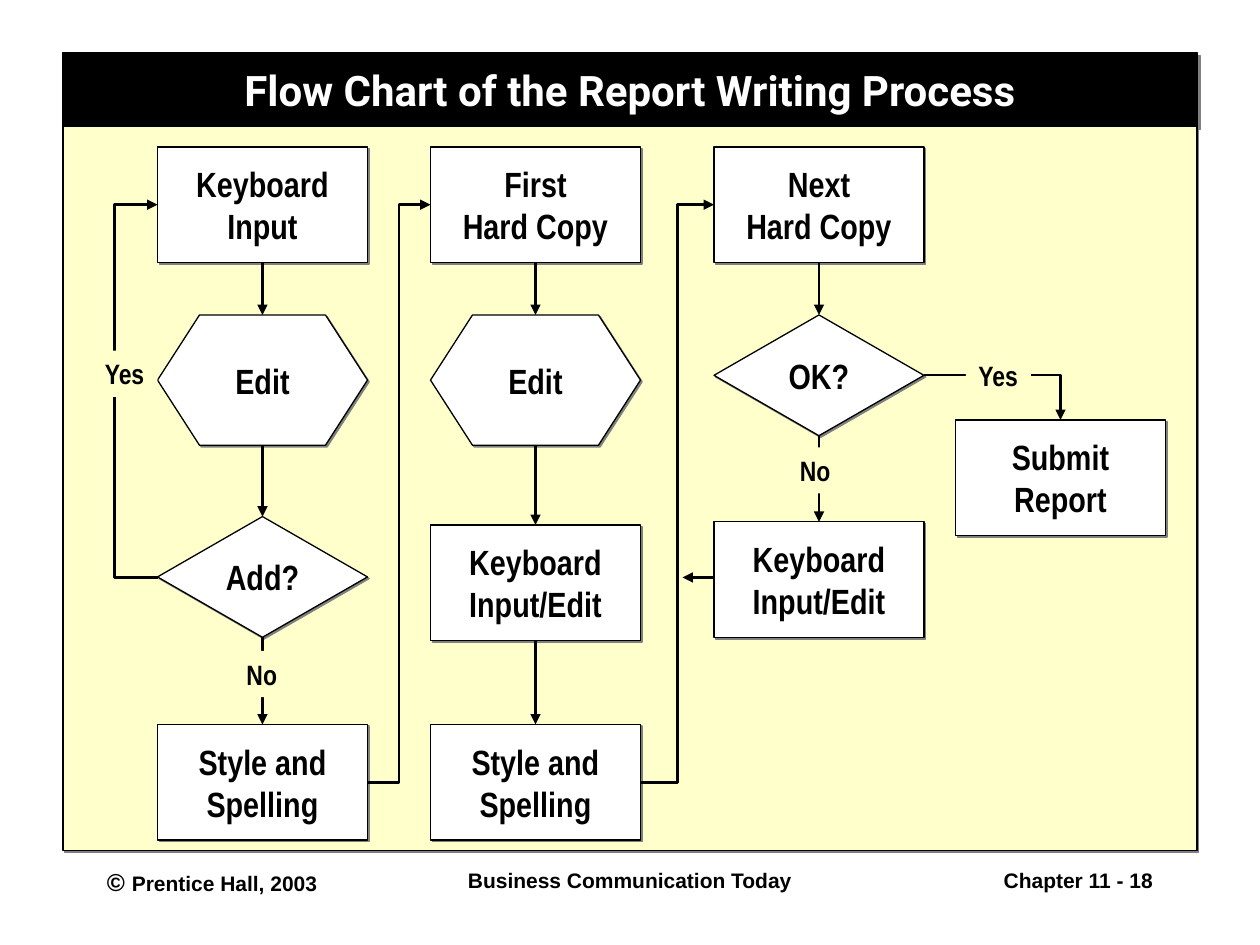
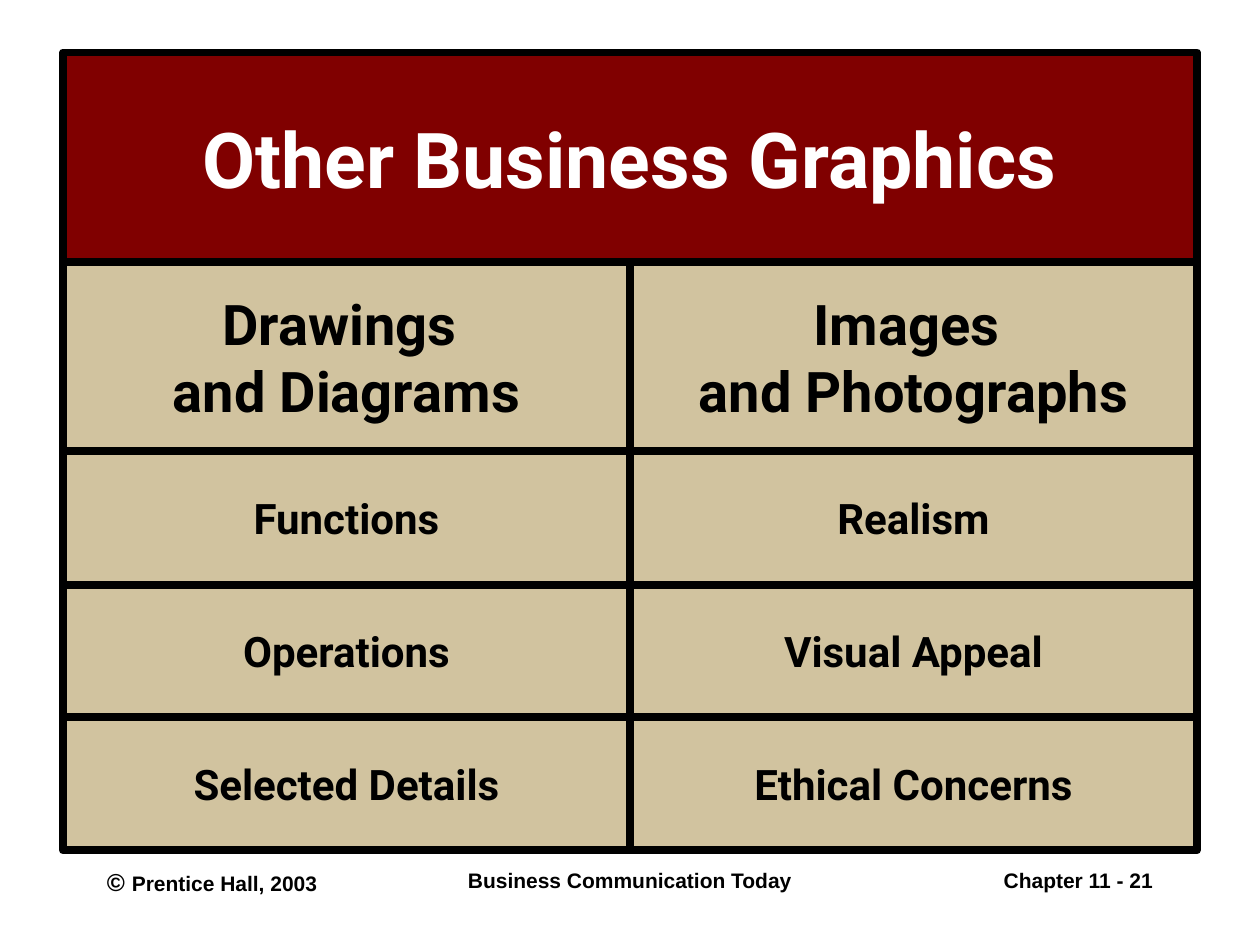
from dataclasses import dataclass
from itertools import pairwise

from lxml.etree import SubElement
from pptx import Presentation
from pptx.dml.color import RGBColor as Rgb
from pptx.enum.shapes import MSO_AUTO_SHAPE_TYPE as Preset, MSO_CONNECTOR as Route
from pptx.enum.text import MSO_ANCHOR as Anchor, MSO_AUTO_SIZE as Fit, PP_ALIGN as Align
from pptx.oxml.ns import qn
from pptx.util import Pt

PX = 7620


@dataclass(frozen=True)
class Theme:
    ink: str = "000000"
    paper: str = "FFFFFF"
    cream: str = "FFFFCC"
    maroon: str = "800000"
    sand: str = "D1C39F"
    shade: str = "808080"
    display: str = "Roboto"
    narrow: str = "Arial Narrow"
    plain: str = "Arial"
    cover_size: int = 44
    heading_size: int = 32
    body_size: int = 24
    node_size: int = 20
    label_size: int = 16
    mark_size: int = 14
    footer_size: int = 12
    thin: float = 0.75
    arrow: float = 1.5
    thick: float = 4.5
    title_shadow: float = 2.8
    node_shadow: float = 1.4


def assign(target, values):
    for attribute, value in values.items():
        setattr(target, attribute, value)


class Deck:
    def __init__(self, theme):
        self.theme = theme
        self.show = Presentation()
        assign(self.show, {"slide_width": 1200 * PX, "slide_height": 900 * PX})

    def page(self, number):
        theme = self.theme
        self.slide = self.show.slides.add_slide(self.show.slide_layouts[5])
        footers = (
            (90, 250, Align.LEFT, [("© ", theme.mark_size),
                                   ("Prentice Hall, 2003", theme.footer_size)]),
            (410, 380, Align.CENTER, [("Business Communication Today", theme.footer_size)]),
            (860, 250, Align.RIGHT, [(f"Chapter 11 - {number}", theme.footer_size)]),
        )
        for left, width, align, parts in footers:
            box = self.slide.shapes.add_textbox(left * PX, 820 * PX, width * PX, 60 * PX)
            box.text_frame.word_wrap = True
            paragraph = box.text_frame.paragraphs[0]
            paragraph.alignment = align
            for words, size in parts:
                run = paragraph.add_run()
                run.text = words
                self.style(run.font, size, theme.plain)

    def style(self, font, size, face, color=None):
        assign(font, {"size": Pt(size), "name": face, "bold": True})
        font.color.rgb = Rgb.from_string(color or self.theme.ink)

    def caption(self, shape, lines, size, face, color=None, align=Align.CENTER, **frame):
        assign(shape.text_frame, {"vertical_anchor": Anchor.MIDDLE, "word_wrap": False,
                                  "auto_size": Fit.NONE, **frame})
        shape.text_frame.text = lines
        for paragraph in shape.text_frame.paragraphs:
            paragraph.alignment = align
            self.style(paragraph.runs[0].font, size, face, color)

    def paint(self, shape, fill, weight=0, shadow=0):
        shape.fill.solid()
        shape.fill.fore_color.rgb = Rgb.from_string(fill)
        if weight:
            shape.line.color.rgb = Rgb.from_string(self.theme.ink)
            shape.line.width = Pt(weight)
        else:
            shape.line.fill.background()
        shape.shadow.inherit = False
        if shadow:
            effects = shape.element.spPr.find(qn("a:effectLst"))
            cast = SubElement(effects, qn("a:outerShdw"), dist=str(Pt(shadow)),
                              dir="2700000", algn="ctr", rotWithShape="0")
            SubElement(cast, qn("a:srgbClr"), val=self.theme.shade)

    def title(self, words, height, fill, size, weight, shadow=0):
        title = self.slide.shapes.title
        assign(title, {"left": 60 * PX, "top": 50 * PX,
                       "width": 1080 * PX, "height": height * PX})
        self.paint(title, fill, weight, shadow)
        self.caption(title, words, size, self.theme.display, self.theme.paper, word_wrap=True)

    def block(self, left, top, width, height, fill, weight=0, shadow=0, kind=Preset.RECTANGLE):
        shape = self.slide.shapes.add_shape(kind, left * PX, top * PX, width * PX, height * PX)
        self.paint(shape, fill, weight, shadow)
        return shape

    def node(self, kind, left, top, words):
        theme = self.theme
        shape = self.block(left, top, NODE_WIDTH, NODE_HEIGHTS[kind], theme.paper,
                           theme.thin, theme.node_shadow, kind)
        self.caption(shape, words, theme.node_size, theme.narrow)

    def label(self, left, top, width, words):
        shape = self.block(left, top, width, 44, self.theme.cream)
        self.caption(shape, words, self.theme.label_size, self.theme.narrow, align=Align.LEFT,
                     vertical_anchor=Anchor.TOP, auto_size=Fit.SHAPE_TO_FIT_TEXT)

    def cell(self, left, top, width, height, words, size):
        shape = self.block(left, top, width, height, self.theme.sand, self.theme.thick)
        self.caption(shape, words, size, self.theme.display)

    def arrow(self, start, end, route=Route.STRAIGHT, bend=None, preset=None):
        ends = [length * PX for length in (*start, *end)]
        link = self.slide.shapes.add_connector(route, *ends)
        link.line.color.rgb = Rgb.from_string(self.theme.ink)
        link.line.width = Pt(self.theme.arrow)
        properties = link.element.spPr
        SubElement(properties.find(qn("a:ln")), qn("a:tailEnd"), type="triangle")
        SubElement(properties, qn("a:effectLst"))
        geometry = properties.find(qn("a:prstGeom"))
        if preset:
            geometry.set("prst", preset)
        if bend is not None:
            SubElement(geometry.find(qn("a:avLst")), qn("a:gd"), name="adj1",
                       fmla=f"val {int(bend * 100000)}")


STEP, EDIT, CHOICE = Preset.RECTANGLE, Preset.FLOWCHART_PREPARATION, Preset.FLOWCHART_DECISION
NODE_WIDTH = 200
NODE_HEIGHTS = {STEP: 110, EDIT: 124, CHOICE: 115}
FLOW = {
    150: [(STEP, 140, "Keyboard\nInput"), (EDIT, 300, "Edit"),
          (CHOICE, 492, "Add?"), (STEP, 690, "Style and\nSpelling")],
    410: [(STEP, 140, "First\nHard Copy"), (EDIT, 300, "Edit"),
          (STEP, 500, "Keyboard\nInput/Edit"), (STEP, 690, "Style and\nSpelling")],
    680: [(STEP, 140, "Next\nHard Copy"), (CHOICE, 300, "OK?"),
          (STEP, 497, "Keyboard\nInput/Edit")],
    910: [(STEP, 400, "Submit\nReport")],
}
ANSWERS = [(920, 336, 62, "Yes"), (750, 426, 53, "No"), (223, 620, 53, "No"), (88, 334, 62, "Yes")]
GRAPHICS = [
    ("Drawings \nand Diagrams", "Functions", "Operations", "Selected Details"),
    ("Images \nand Photographs", "Realism", "Visual Appeal", "Ethical Concerns"),
]
ROW_EDGES = [250, 430, 557, 683, 810]


def flow_chart(deck):
    theme = deck.theme
    deck.page(18)
    deck.title("Flow Chart of the Report Writing Process", 70, theme.ink, theme.body_size,
               theme.thin, theme.title_shadow)
    deck.block(60, 120, 1080, 690, theme.cream, theme.thin, theme.node_shadow)
    for left, steps in FLOW.items():
        for kind, top, words in steps:
            deck.node(kind, left, top, words)
        center = left + NODE_WIDTH // 2
        for (kind, top, _), (_, next_top, _) in pairwise(steps):
            deck.arrow((center, top + NODE_HEIGHTS[kind]), (center, next_top))
    for left, next_left in pairwise(list(FLOW)[:3]):
        deck.arrow((left + NODE_WIDTH, 745), (next_left, 195), Route.ELBOW, bend=0.5)
    deck.arrow((151, 550), (150, 195), Route.ELBOW, bend=42)
    deck.arrow((880, 357), (1010, 400), Route.ELBOW, preset="bentConnector2")
    deck.arrow((680, 550), (650, 550))
    for answer in ANSWERS:
        deck.label(*answer)


def other_graphics(deck):
    theme = deck.theme
    deck.page(21)
    deck.title("Other Business Graphics", 200, theme.maroon, theme.cover_size, theme.thick)
    for column, entries in enumerate(GRAPHICS):
        for row, (words, (top, bottom)) in enumerate(zip(entries, pairwise(ROW_EDGES))):
            size = theme.body_size if row else theme.heading_size
            deck.cell(60 + 540 * column, top, 540, bottom - top, words, size)


def main():
    deck = Deck(Theme())
    flow_chart(deck)
    other_graphics(deck)
    deck.show.save("out.pptx")


if __name__ == "__main__":
    main()
